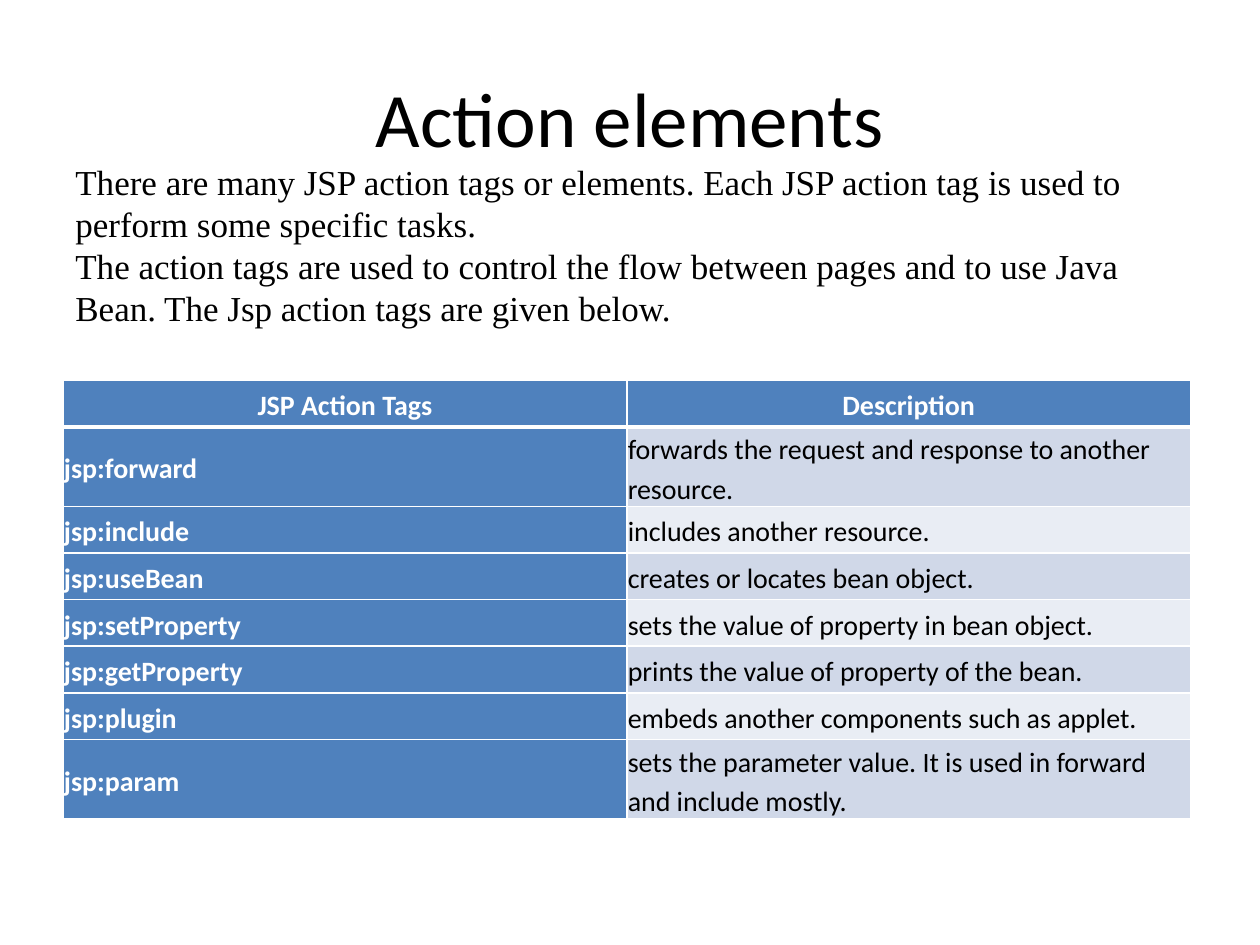
"""Build the slide on JSP action elements."""
from lxml.etree import SubElement as Sub
from pptx import Presentation
from pptx.dml.color import RGBColor
from pptx.enum.text import MSO_ANCHOR as Anchor, MSO_AUTO_SIZE as Fit, PP_ALIGN as Align
from pptx.oxml.ns import qn
from pptx.util import Cm, Pt


def style(para, size, font, color, bold=False):
    for run in para.runs:
        run.font.size = Pt(size)
        run.font.name = font
        run.font.bold = bold
        run.font.color.rgb = RGBColor.from_string(color)


def edge(cell, side, width):
    line = Sub(cell._tc.get_or_add_tcPr(), qn("a:" + side), w=str(Pt(width)))
    fill = Sub(line, qn("a:solidFill"))
    Sub(fill, qn("a:srgbClr"), val="FFFFFF")


deck = Presentation()
deck.slide_width, deck.slide_height = Cm(25.4), Cm(19.05)
slide = deck.slides.add_slide(deck.slide_layouts[6])

title = slide.shapes.add_textbox(Cm(1.27), Cm(0.76), Cm(22.86), Cm(3.18))
frame = title.text_frame
frame.word_wrap = True
frame.vertical_anchor = Anchor.MIDDLE
frame.text = "Action elements"
frame.paragraphs[0].alignment = Align.CENTER
style(frame.paragraphs[0], 44, "Calibri", "000000")

rows = [
    ("JSP Action Tags", "Description"),
    ("jsp:forward", "forwards the request and response to another resource."),
    ("jsp:include", "includes another resource."),
    ("jsp:useBean", "creates or locates bean object."),
    ("jsp:setProperty", "sets the value of property in bean object."),
    ("jsp:getProperty", "prints the value of property of the bean."),
    ("jsp:plugin", "embeds another components such as applet."),
    ("jsp:param", "sets the parameter value. It is used in forward and include mostly."),
]
table = slide.shapes.add_table(
    len(rows), 2, Cm(1.27), Cm(7.67), Cm(22.73), Cm(0.94 * len(rows))).table
for r, row in enumerate(rows):
    for c, text in enumerate(row):
        cell = table.cell(r, c)
        head = r == 0 or c == 0
        cell.text = text
        cell.vertical_anchor = Anchor.MIDDLE
        cell.margin_left = cell.margin_right = Cm(0.02)
        cell.margin_top = cell.margin_bottom = Cm(0.02)
        para = cell.text_frame.paragraphs[0]
        para.alignment = Align.CENTER if r == 0 else Align.LEFT
        para.line_spacing = 1.15
        style(para, 16, "Calibri", "FFFFFF" if head else "000000", head)
        for side in ("lnL", "lnR", "lnT", "lnB"):
            thick = (r, side) in ((0, "lnB"), (1, "lnT"))
            edge(cell, side, 3 if thick else 1)
        band = "D0D8E8" if r % 2 else "E9EDF4"
        cell.fill.solid()
        cell.fill.fore_color.rgb = RGBColor.from_string("4F81BD" if head else band)

intro = slide.shapes.add_textbox(Cm(1.27), Cm(3.12), Cm(22.61), Cm(3.68))
frame = intro.text_frame
frame.word_wrap = True
frame.auto_size = Fit.SHAPE_TO_FIT_TEXT
frame.text = (
    "There are many JSP action tags or elements. Each JSP action tag is used to "
    "perform some specific tasks.\n"
    "The action tags are used to control the flow between pages and to use Java "
    "Bean. The Jsp action tags are given below.")
for para in frame.paragraphs:
    style(para, 20, "Times New Roman", "000000")

deck.save("out.pptx")
